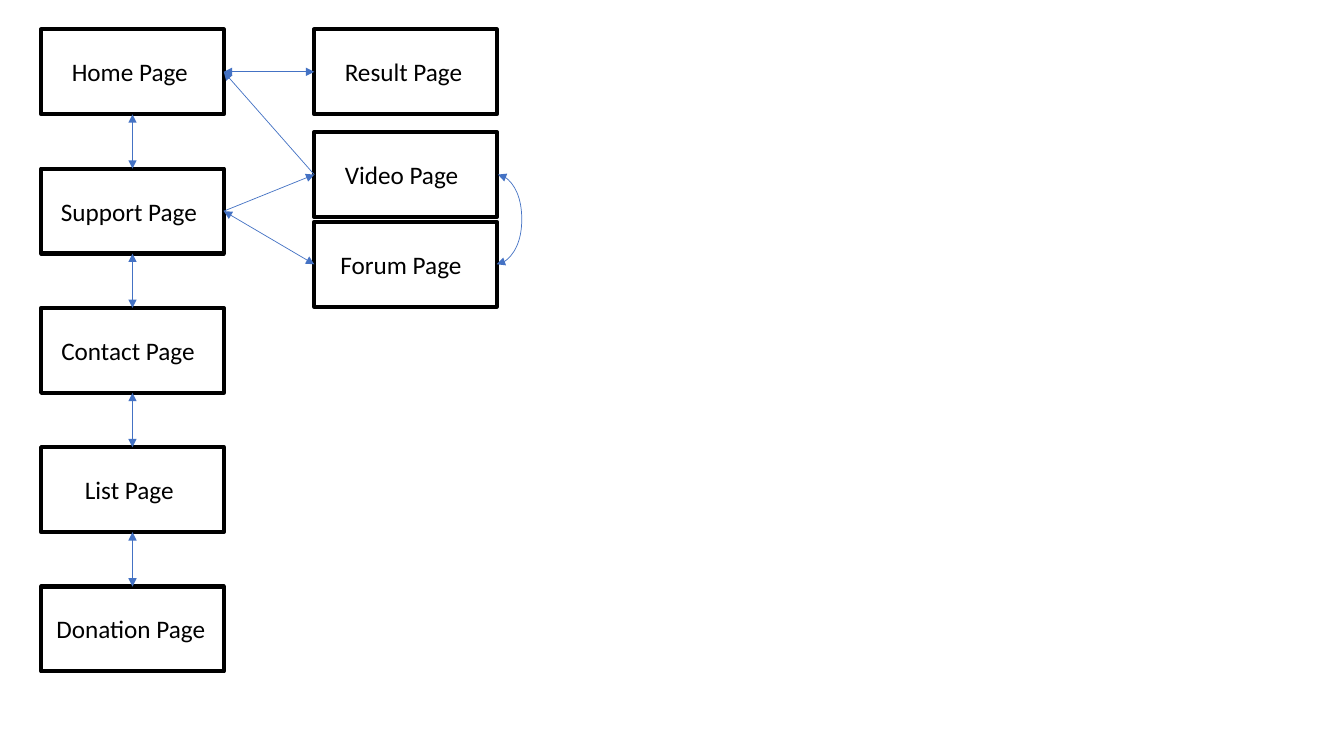
from lxml.etree import SubElement
from pptx import Presentation
from pptx.dml.color import RGBColor
from pptx.enum.shapes import MSO_CONNECTOR, MSO_SHAPE
from pptx.enum.text import MSO_AUTO_SIZE
from pptx.oxml.ns import qn
from pptx.util import Cm, Pt

COLORS = {"paper": "FFFFFF", "ink": "000000", "link": "4472C4"}
MAIN_LEFT, SIDE_LEFT = 1.04, 7.92
FIRST_TOP, ROW_PITCH = 0.74, 3.51
PAGE_WIDTH, PAGE_HEIGHT = 4.6, 2.14
LABEL_DROP, LABEL_HEIGHT = 0.56, 1.03
CURVE_SHIFT, CURVE_REACH = 0.03, 0.63
TOP, LEFT, BOTTOM, RIGHT = range(4)

MAIN_PAGES = [
    ("Home Page", 3.56),
    ("Support Page", 4.11),
    ("Contact Page", 4.09),
    ("List Page", 2.9),
    ("Donation Page", 4.34),
]
SIDE_PAGES = [
    ("Result Page", 3.56, FIRST_TOP),
    ("Video Page", 3.56, 3.33),
    ("Forum Page", 3.78, 5.59),
]
BOTH_ENDS, FAR_END = ("headEnd", "tailEnd"), ("tailEnd",)
SIDE_LINKS = [
    ("Home Page", RIGHT, "Result Page", LEFT, BOTH_ENDS),
    ("Support Page", RIGHT, "Forum Page", LEFT, BOTH_ENDS),
    ("Video Page", LEFT, "Home Page", RIGHT, FAR_END),
    ("Support Page", RIGHT, "Video Page", LEFT, FAR_END),
]
LABEL_FORMAT = {"name": "Calibri", "size": Pt(18)}


def color(name):
    return RGBColor.from_string(COLORS[name])


def add_page(slide, name, label_width, left, top):
    page = slide.shapes.add_shape(
        MSO_SHAPE.RECTANGLE, Cm(left), Cm(top), Cm(PAGE_WIDTH), Cm(PAGE_HEIGHT))
    page.shadow.inherit = False
    page.fill.solid()
    page.fill.fore_color.rgb = color("paper")
    page.line.color.rgb = color("ink")
    page.line.width = Pt(3)

    label = slide.shapes.add_textbox(
        Cm(left + (PAGE_WIDTH - label_width) / 2), Cm(top + LABEL_DROP),
        Cm(label_width), Cm(LABEL_HEIGHT))
    label.text_frame.word_wrap = True
    label.text_frame.auto_size = MSO_AUTO_SIZE.SHAPE_TO_FIT_TEXT
    wording = label.text_frame.paragraphs[0].add_run()
    wording.text = name
    for attribute, value in LABEL_FORMAT.items():
        setattr(wording.font, attribute, value)
    wording.font.color.rgb = color("ink")
    return page


def add_link(slide, kind, arrow_ends, start=(0, 0), end=(0, 0)):
    link = slide.shapes.add_connector(kind, *start, *end)
    link.line.color.rgb = color("link")
    link.line.width = Pt(0.5)
    outline = link.line._get_or_add_ln()
    for arrow_end in arrow_ends:
        SubElement(outline, qn(f"a:{arrow_end}"), type="triangle")
    SubElement(link._element.spPr, qn("a:effectLst"))
    return link


def add_straight_link(slide, source, source_site, target, target_site, arrow_ends):
    link = add_link(slide, MSO_CONNECTOR.STRAIGHT, arrow_ends)
    link.begin_connect(source, source_site)
    link.end_connect(target, target_site)


def add_curved_link(slide, source, target):
    right = source.left + source.width
    start = (right, source.top + source.height // 2)
    end = (right + Cm(CURVE_SHIFT), target.top + target.height // 2)
    link = add_link(slide, MSO_CONNECTOR.CURVE, BOTH_ENDS, start, end)
    bend = round(CURVE_REACH / CURVE_SHIFT * 100000)
    guides = link._element.spPr.find(qn("a:prstGeom")).find(qn("a:avLst"))
    SubElement(guides, qn("a:gd"), name="adj1", fmla=f"val {bend}")


def main():
    deck = Presentation()
    deck.slide_width, deck.slide_height = Cm(33.87), Cm(19.05)
    slide = deck.slides.add_slide(deck.slide_layouts[6])

    pages = {}
    for row, (name, label_width) in enumerate(MAIN_PAGES):
        top = FIRST_TOP + row * ROW_PITCH
        pages[name] = add_page(slide, name, label_width, MAIN_LEFT, top)
    for name, label_width, top in SIDE_PAGES:
        pages[name] = add_page(slide, name, label_width, SIDE_LEFT, top)

    for (upper, _), (lower, _) in zip(MAIN_PAGES, MAIN_PAGES[1:]):
        add_straight_link(slide, pages[upper], BOTTOM, pages[lower], TOP, BOTH_ENDS)
    for source, source_site, target, target_site, arrow_ends in SIDE_LINKS:
        add_straight_link(slide, pages[source], source_site,
                          pages[target], target_site, arrow_ends)
    add_curved_link(slide, pages["Forum Page"], pages["Video Page"])

    deck.save("out.pptx")


if __name__ == "__main__":
    main()
